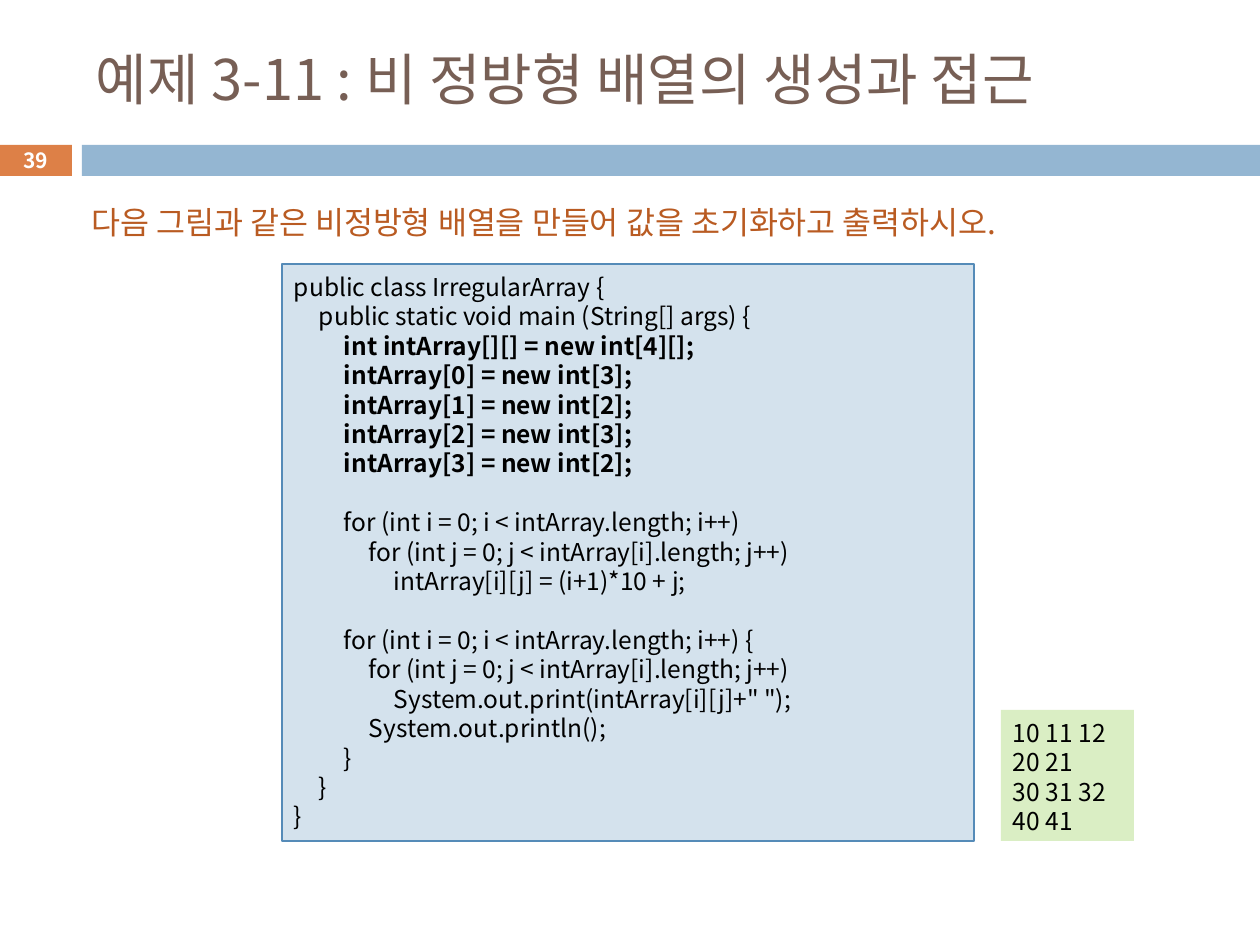
from lxml.etree import SubElement
from pptx import Presentation
from pptx.dml.color import RGBColor
from pptx.enum.shapes import MSO_SHAPE
from pptx.enum.text import MSO_ANCHOR, MSO_AUTO_SIZE, PP_ALIGN
from pptx.oxml.ns import qn
from pptx.util import Pt

# Content
TITLE = "예제 3-11 : 비 정방형 배열의 생성과 접근"
TASK = "다음 그림과 같은 비정방형 배열을 만들어 값을 초기화하고 출력하시오."
PAGE_NUMBER = "39"
# Blocks of code, each set apart by one line of space
CODE_BLOCKS = [
    [
        "public class IrregularArray {",
        "\tpublic static void main (String[] args) {",
        "\t\tint intArray[][] = new int[4][];",
        "\t\tintArray[0] = new int[3];",
        "\t\tintArray[1] = new int[2];",
        "\t\tintArray[2] = new int[3];",
        "\t\tintArray[3] = new int[2];",
    ],
    [
        "\t\tfor (int i = 0; i < intArray.length; i++)",
        "\t\t\tfor (int j = 0; j < intArray[i].length; j++)",
        "\t\t\t\tintArray[i][j] = (i+1)*10 + j;",
    ],
    [
        "\t\tfor (int i = 0; i < intArray.length; i++) {",
        "\t\t\tfor (int j = 0; j < intArray[i].length; j++)",
        "\t\t\t\tSystem.out.print(intArray[i][j]+\" \");",
        "\t\t\tSystem.out.println();",
        "\t\t}",
        "\t}",
        "}",
    ],
]
OUTPUT = ["10 11 12", "20 21", "30 31 32", "40 41"]

# Style
FONT = "Noto Sans CJK KR"
COLORS = {
    "title": "775F55", "task": "B95B22", "text": "000000", "number": "FFFFFF",
    "orange": "DD8047", "bar": "94B6D2",
    "code": "D4E2ED", "code_line": "558BB8", "output": "DAEEC4",
}
LINE_FACTOR = 1.2
TAB = 25
EMU_PER_PX = 914400 // 126


def px(length):
    return length * EMU_PER_PX


def color(name):
    return RGBColor.from_string(COLORS[name])


def place(shape, box):
    shape.left, shape.top, shape.width, shape.height = map(px, box)


def add_rectangle(slide, box, fill, line=None):
    shape = slide.shapes.add_shape(MSO_SHAPE.RECTANGLE, *map(px, box))
    shape.shadow.inherit = False
    shape.fill.solid()
    shape.fill.fore_color.rgb = color(fill)
    if line:
        shape.line.color.rgb = color(line)
        shape.line.width = Pt(0.75)
    else:
        shape.line.fill.background()
    return shape


def set_tabs(paragraph, count):
    tabs = SubElement(paragraph._p.get_or_add_pPr(), qn("a:tabLst"))
    for stop in range(1, count + 1):
        SubElement(tabs, qn("a:tab"), pos=str(px(TAB * stop)), algn="l")


def write(shape, lines, size, ink, bold=False, align=PP_ALIGN.LEFT,
          anchor=MSO_ANCHOR.TOP):
    frame = shape.text_frame
    frame.word_wrap = True
    frame.auto_size = MSO_AUTO_SIZE.NONE
    frame.vertical_anchor = anchor
    frame.margin_left = frame.margin_right = px(12)
    frame.margin_top = frame.margin_bottom = px(8)
    for index, line in enumerate(lines):
        paragraph = frame.paragraphs[0] if index == 0 else frame.add_paragraph()
        paragraph.alignment = align
        paragraph.line_spacing = Pt(round(size * LINE_FACTOR, 1))
        if line.startswith("\t"):
            set_tabs(paragraph, line.count("\t"))
        run = paragraph.add_run()
        run.text = line
        font = run.font
        font.name, font.size, font.bold = FONT, Pt(size), bold
        font.color.rgb = color(ink)
        SubElement(run._r.get_or_add_rPr(), qn("a:ea"), typeface=FONT)
    return frame.paragraphs


def main():
    presentation = Presentation()
    presentation.slide_width, presentation.slide_height = px(1260), px(945)
    slide = presentation.slides.add_slide(presentation.slide_layouts[5])

    # Header: title, bar and page number
    title = slide.shapes.title
    place(title, (84, 31, 1124, 94))
    write(title, [TITLE], 32, "title", anchor=MSO_ANCHOR.MIDDLE)
    number = add_rectangle(slide, (-1, 145, 73, 31), "orange")
    write(number, [PAGE_NUMBER], 12, "number", bold=True,
          align=PP_ALIGN.CENTER, anchor=MSO_ANCHOR.MIDDLE)
    add_rectangle(slide, (82, 145, 1178, 31), "bar")

    # Task
    task = slide.shapes.add_textbox(*map(px, (79, 195, 1041, 51)))
    write(task, [TASK], 18, "task")

    # Code: array creation is bold, later blocks follow a gap
    code = add_rectangle(slide, (282, 264, 692, 577), "code", "code_line")
    lines = [line for block in CODE_BLOCKS for line in block]
    paragraphs = write(code, lines, 14, "text")
    for paragraph, line in zip(paragraphs, lines):
        if "= new int" in line:
            paragraph.runs[0].font.bold = True
    start = 0
    for block in CODE_BLOCKS[:-1]:
        start += len(block)
        paragraphs[start].space_before = Pt(16.8)

    # Program output
    output = add_rectangle(slide, (1001, 710, 133, 131), "output")
    write(output, OUTPUT, 14, "text")

    presentation.save("out.pptx")


if __name__ == "__main__":
    main()
